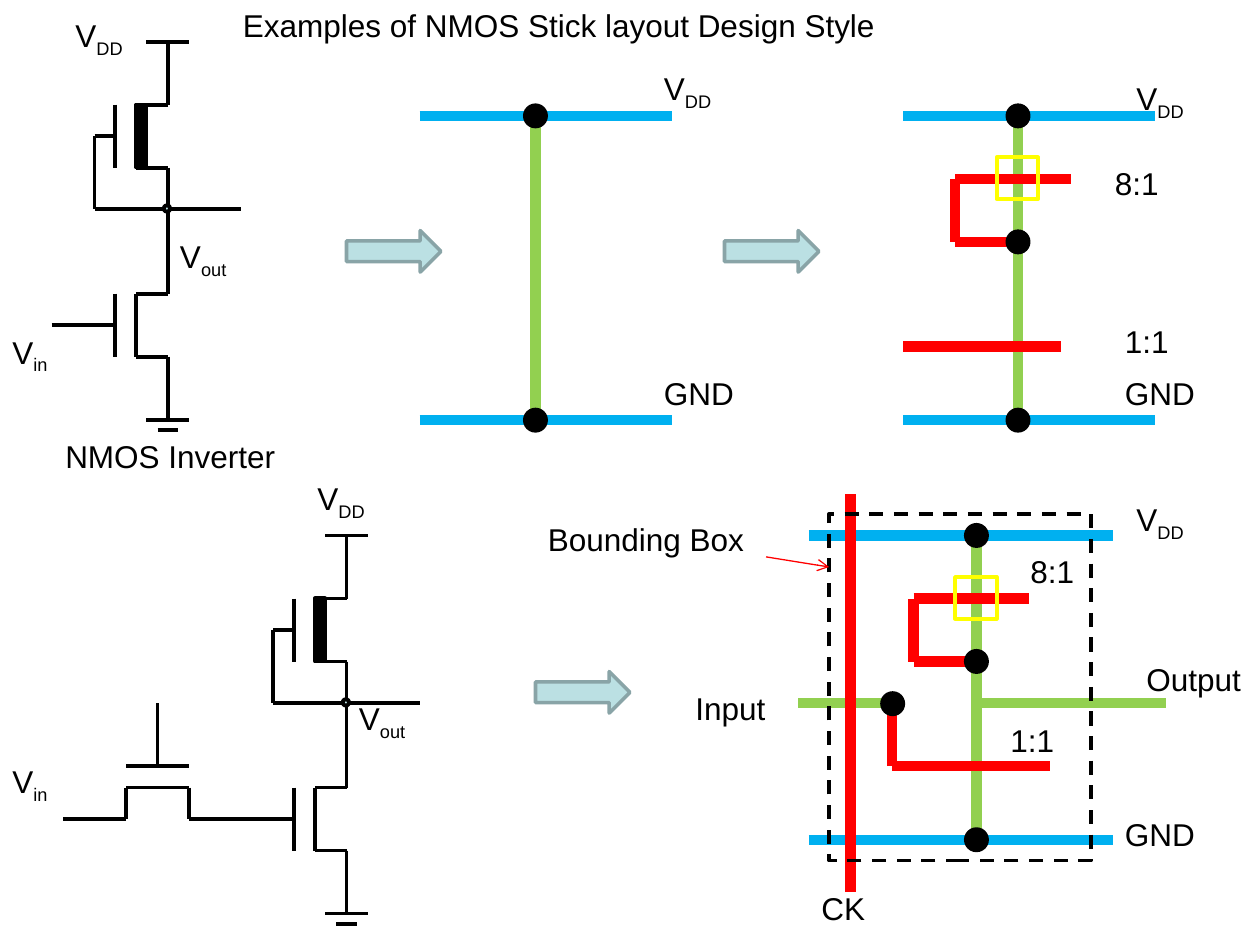
from pptx import Presentation
from pptx.dml.color import RGBColor
from pptx.enum.dml import MSO_LINE
from pptx.enum.shapes import MSO_CONNECTOR, MSO_SHAPE
from pptx.enum.text import MSO_AUTO_SIZE
from pptx.oxml.ns import qn
from pptx.util import Inches, Pt
from lxml import etree

STRAIGHT = MSO_CONNECTOR.STRAIGHT
OVAL, RECTANGLE, ARROW = MSO_SHAPE.OVAL, MSO_SHAPE.RECTANGLE, MSO_SHAPE.RIGHT_ARROW
DASH, FIT_SHAPE = MSO_LINE.DASH, MSO_AUTO_SIZE.SHAPE_TO_FIT_TEXT
METAL, DIFFUSION, POLY, IMPLANT = "00B0F0", "92D050", "FF0000", "FFFF00"
BLACK, PALE, PALE_EDGE = "000000", "BBE0E3", "89A4A7"
STICK, WIRE = 6, 2.25
DOT = 0.17

deck = Presentation()
deck.slide_width, deck.slide_height = Inches(10), Inches(7.5)
page = deck.slides.add_slide(deck.slide_layouts[6])


def add_line(x1, y1, x2, y2, color=BLACK, width=WIRE):
    line = page.shapes.add_connector(
        STRAIGHT, Inches(x1), Inches(y1), Inches(x2), Inches(y2))
    line.line.color.rgb = RGBColor.from_string(color)
    line.line.width = Pt(width)
    etree.SubElement(line._element.spPr, qn("a:effectLst"))
    return line


def add_figure(kind, left, top, width, height, fill, edge, edge_width=2):
    """Add a preset shape; a fill of None leaves it hollow."""
    figure = page.shapes.add_shape(
        kind, Inches(left), Inches(top), Inches(width), Inches(height))
    figure.shadow.inherit = False
    if fill:
        figure.fill.solid()
        figure.fill.fore_color.rgb = RGBColor.from_string(fill)
    else:
        figure.fill.background()
    figure.line.color.rgb = RGBColor.from_string(edge)
    figure.line.width = Pt(edge_width)
    return figure


# Stick layouts: diffusion column x, top rail y, rail ends, pull-down gate ends
stick_layouts = [
    (8.08, 0.92, 7.17, 9.17, (7.17, 8.42)),
    (4.25, 0.92, 3.33, 5.33, None),
    (7.75, 4.25, 6.42, 8.83, (7.08, 8.33)),
]
for x, top, rail_left, rail_right, gate in stick_layouts:
    bottom = top + 2.415
    for rail in (top, bottom):
        add_line(rail_left, rail, rail_right, rail, METAL, STICK)
    add_line(x, bottom, x, top, DIFFUSION, STICK)
    contacts = [top, bottom]
    if gate:
        add_line(x - 0.5, top + 0.5, x + 0.42, top + 0.5, POLY, STICK)
        add_line(x - 0.5, top + 1, x - 0.5, top + 0.5, POLY, STICK)
        add_line(x, top + 1, x - 0.5, top + 1, POLY, STICK)
        add_line(gate[0], top + 1.83, gate[1], top + 1.83, POLY, STICK)
        add_figure(RECTANGLE, x - 0.17, top + 0.33, 0.33, 0.33, None, IMPLANT, WIRE)
        contacts.append(top + 1)
    for y in contacts:
        add_figure(OVAL, x - DOT / 2, y - DOT / 2, DOT, DOT, BLACK, BLACK)

# Input, clock and output of the clocked inverter
add_line(7.08, 6.08, 7.08, 5.58, POLY, STICK)
add_line(7.08, 5.58, 6.33, 5.58, DIFFUSION, STICK)
add_line(6.75, 7.08, 6.75, 3.92, POLY, STICK)
add_figure(OVAL, 7, 5.5, DOT, DOT, BLACK, BLACK)
add_line(9.25, 5.58, 7.75, 5.58, DIFFUSION, STICK)

bounding_box = add_figure(RECTANGLE, 6.58, 4.08, 2.08, 2.75, None, BLACK)
bounding_box.line.dash_style = DASH
pointer = add_line(6.08, 4.42, 6.58, 4.5, POLY, 0.75)
etree.SubElement(pointer.line._get_or_add_ln(), qn("a:tailEnd"), type="arrow")

for left, top in [(5.75, 1.83), (2.75, 1.83), (4.25, 5.33)]:
    add_figure(ARROW, left, top, 0.75, 0.33, PALE, PALE_EDGE)

# Inverter circuit, measured from the middle of its supply bar
inverter_wires = [
    (-0.17, 0, 0.17, 0), (0, 0, 0, 0.5),
    (-0.25, 0.5, 0, 0.5), (-0.25, 1, 0, 1), (-0.42, 0.5, -0.42, 1),
    (-0.58, 0.75, -0.42, 0.75), (-0.58, 0.75, -0.58, 1.33),
    (-0.58, 1.33, 0.58, 1.33), (0, 1, 0, 2),
    (-0.25, 2, 0, 2), (-0.25, 2.5, 0, 2.5), (-0.25, 2, -0.25, 2.5),
    (-0.42, 2, -0.42, 2.5), (-0.92, 2.25, -0.42, 2.25),
    (0, 2.5, 0, 3), (-0.17, 3, 0.17, 3), (-0.08, 3.08, 0.08, 3.08),
]
for x, y in [(1.33, 0.33), (2.75, 4.25)]:
    for x1, y1, x2, y2 in inverter_wires:
        add_line(x + x1, y + y1, x + x2, y + y2)
    add_figure(OVAL, x - 0.03, y + 1.3, 0.05, 0.05, PALE, BLACK, WIRE)
    add_figure(RECTANGLE, x - 0.25, y + 0.5, 0.08, 0.5, BLACK, BLACK, WIRE)

pass_transistor_wires = [
    (1.25, 5.58, 1.25, 6.08), (1, 6.08, 1.5, 6.08), (1, 6.25, 1.5, 6.25),
    (1, 6.25, 1, 6.5), (1.5, 6.25, 1.5, 6.5),
    (0.5, 6.5, 1, 6.5), (1.5, 6.5, 2, 6.5),
]
for wire in pass_transistor_wires:
    add_line(*wire)

# Labels: left, top, width, text, subscript
labels = [
    (1.83, 0, 6.17, "Examples of NMOS Stick layout Design Style", ""),
    (0.42, 3.42, 2, "NMOS Inverter", ""),
    (0.5, 0.08, 1.08, "V", "DD"),
    (1.33, 1.83, 1.08, "V", "out"),
    (0, 2.59, 1.08, "V", "in"),
    (5.17, 0.5, 0.75, "V", "DD"),
    (5.17, 2.92, 0.92, "GND", ""),
    (8.92, 0.58, 0.75, "V", "DD"),
    (8.75, 1.25, 0.75, "8:1", ""),
    (8.83, 2.51, 0.75, "1:1", ""),
    (8.83, 2.92, 0.92, "GND", ""),
    (2.42, 3.75, 1.08, "V", "DD"),
    (2.75, 5.5, 1.08, "V", "out"),
    (0, 6, 1.08, "V", "in"),
    (4.25, 4.08, 2.42, "Bounding Box", ""),
    (8.92, 3.92, 0.75, "V", "DD"),
    (8.08, 4.33, 0.75, "8:1", ""),
    (7.92, 5.67, 0.75, "1:1", ""),
    (9, 5.19, 1.08, "Output", ""),
    (5.42, 5.42, 1.08, "Input", ""),
    (8.83, 6.42, 0.92, "GND", ""),
    (6.42, 7.01, 1.08, "CK", ""),
]
font_format = {"name": "Arial", "size": Pt(18)}
for left, top, width, text, subscript in labels:
    height = 0.44 if subscript else 0.4
    box = page.shapes.add_textbox(
        Inches(left), Inches(top), Inches(width), Inches(height))
    box.text_frame.word_wrap = True
    box.text_frame.auto_size = FIT_SHAPE
    para = box.text_frame.paragraphs[0]
    for words, baseline in [(text, None), (subscript, "-25000")]:
        if not words:
            continue
        span = para.add_run()
        span.text = words
        for name, value in font_format.items():
            setattr(span.font, name, value)
        span.font.color.rgb = RGBColor.from_string(BLACK)
        if baseline:
            span._r.get_or_add_rPr().set("baseline", baseline)

deck.save("out.pptx")
